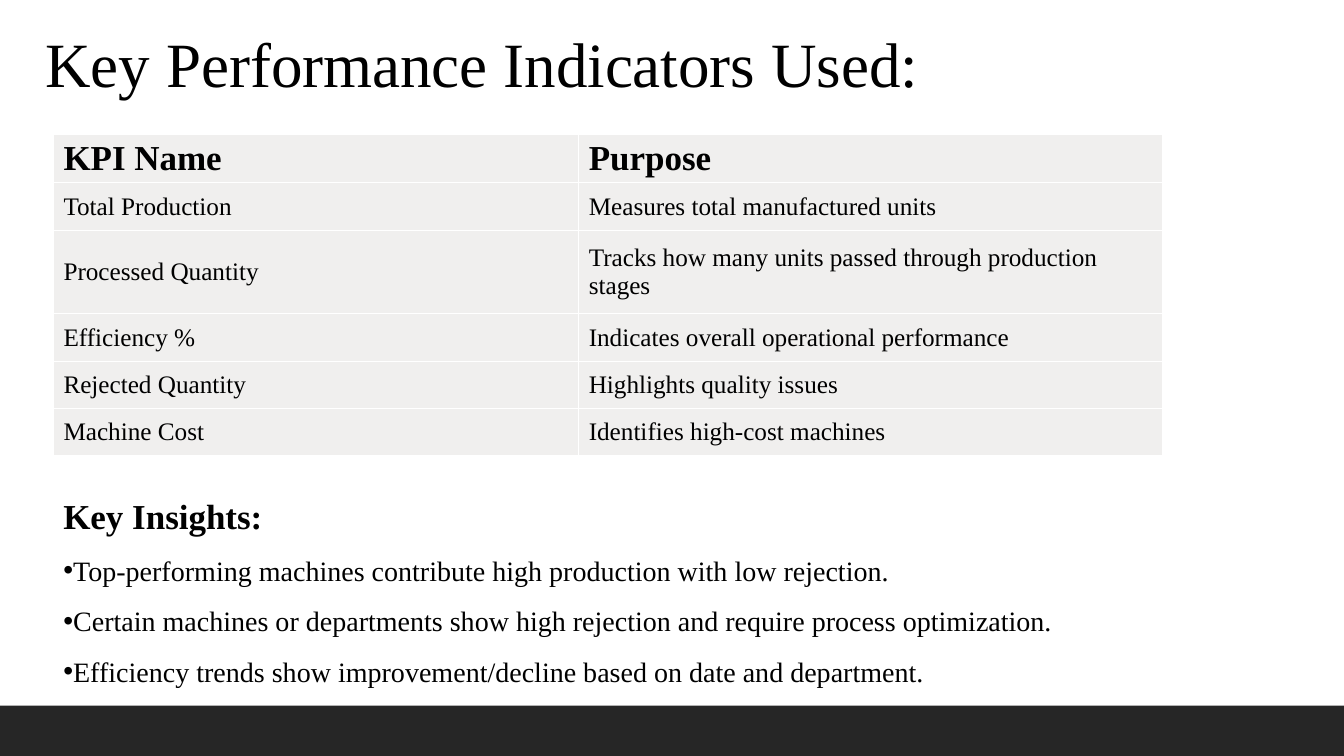
from dataclasses import dataclass

from lxml.etree import SubElement
from pptx import Presentation
from pptx.dml.color import RGBColor
from pptx.enum.shapes import MSO_SHAPE as Preset
from pptx.enum.text import MSO_ANCHOR as Anchor, MSO_AUTO_SIZE as AutoSize, PP_ALIGN as Align
from pptx.oxml.ns import qn
from pptx.util import Inches, Pt

SLIDE_WIDTH, SLIDE_HEIGHT = 13.33, 7.5
LEFT_MARGIN = 0.53
FONT = "Times New Roman"
BLACK, WHITE, CELL_GREY, BAND_GREY = "000000", "FFFFFF", "F0EFEE", "262626"
TITLE_SIZE, HEADING_SIZE, INSIGHT_SIZE, CELL_SIZE = 45, 25, 20, 18
COLUMN_WIDTHS = (5.21, 5.79)
LINE_HEIGHT, TALL_LINE_HEIGHT = 0.47, 0.83


@dataclass(frozen=True)
class Box:
    left: float
    top: float
    width: float
    height: float

    def lengths(self) -> tuple:
        return tuple(Inches(n) for n in (self.left, self.top, self.width, self.height))


@dataclass(frozen=True)
class Indicator:
    name: str
    purpose: str
    height: float = LINE_HEIGHT
    size: int = CELL_SIZE
    bold: bool = False


TITLE_BOX = Box(0.35, 0.19, SLIDE_WIDTH - 0.35, 0.86)
TABLE_BOX = Box(LEFT_MARGIN, 1.33, sum(COLUMN_WIDTHS), 3.18)
INSIGHTS_BOX = Box(LEFT_MARGIN, 4.86, 12.16, 2.34)
BAND_BOX = Box(0, SLIDE_HEIGHT - 0.5, SLIDE_WIDTH, 0.5)

INDICATORS = (
    Indicator("KPI Name", "Purpose", size=HEADING_SIZE, bold=True),
    Indicator("Total Production", "Measures total manufactured units"),
    Indicator("Processed Quantity", "Tracks how many units passed through production stages", TALL_LINE_HEIGHT),
    Indicator("Efficiency %", "Indicates overall operational performance"),
    Indicator("Rejected Quantity", "Highlights quality issues"),
    Indicator("Machine Cost", "Identifies high-cost machines"),
)
INSIGHTS = (
    "Top-performing machines contribute high production with low rejection.",
    "Certain machines or departments show high rejection and require process optimization.",
    "Efficiency trends show improvement/decline based on date and department.",
)


def color(value: str) -> RGBColor:
    return RGBColor.from_string(value)


def format_runs(paragraph, size: int, bold: bool = False) -> None:
    for run in paragraph.runs:
        run.font.name = FONT
        run.font.size = Pt(size)
        run.font.bold = bold
        run.font.color.rgb = color(BLACK)


def add_bullet(paragraph) -> None:
    properties = paragraph._p.get_or_add_pPr()
    properties.set("marL", "0")
    properties.set("indent", "0")
    SubElement(properties, qn("a:buFont"), typeface="Arial")
    SubElement(properties, qn("a:buChar"), char="•")


def set_borders(cell, value: str, points: float) -> None:
    properties = cell._tc.get_or_add_tcPr()
    for position, side in enumerate(("lnL", "lnR", "lnT", "lnB")):
        line = SubElement(properties, qn(f"a:{side}"), w=str(Pt(points)))
        fill = SubElement(line, qn("a:solidFill"))
        SubElement(fill, qn("a:srgbClr"), val=value)
        properties.insert(position, line)


def place_title(slide) -> None:
    title = slide.shapes.title
    title.left, title.top, title.width, title.height = TITLE_BOX.lengths()
    frame = title.text_frame
    frame.text = "Key Performance Indicators Used:"
    frame.auto_size = AutoSize.NONE
    frame.vertical_anchor = Anchor.MIDDLE
    frame.paragraphs[0].alignment = Align.LEFT
    format_runs(frame.paragraphs[0], TITLE_SIZE)


def add_band(slide) -> None:
    band = slide.shapes.add_shape(Preset.RECTANGLE, *BAND_BOX.lengths())
    band.shadow.inherit = False
    band.fill.solid()
    band.fill.fore_color.rgb = color(BAND_GREY)
    band.line.fill.background()


def add_indicators(slide) -> None:
    table = slide.shapes.add_table(len(INDICATORS), len(COLUMN_WIDTHS), *TABLE_BOX.lengths()).table
    table.horz_banding = False
    for column, width in zip(table.columns, COLUMN_WIDTHS):
        column.width = Inches(width)
    for row, indicator in zip(table.rows, INDICATORS):
        row.height = Inches(indicator.height)
        for cell, text in zip(row.cells, (indicator.name, indicator.purpose)):
            cell.text_frame.text = text
            cell.vertical_anchor = Anchor.MIDDLE
            cell.fill.solid()
            cell.fill.fore_color.rgb = color(CELL_GREY)
            set_borders(cell, WHITE, 1)
            format_runs(cell.text_frame.paragraphs[0], indicator.size, indicator.bold)


def add_insights(slide) -> None:
    frame = slide.shapes.add_textbox(*INSIGHTS_BOX.lengths()).text_frame
    frame.word_wrap = True
    frame.text = "Key Insights:"
    format_runs(frame.paragraphs[0], HEADING_SIZE, True)
    for insight in INSIGHTS:
        paragraph = frame.add_paragraph()
        paragraph.text = insight
        paragraph.line_spacing = 1.5
        add_bullet(paragraph)
        format_runs(paragraph, INSIGHT_SIZE)


def main() -> None:
    presentation = Presentation()
    presentation.slide_width = Inches(SLIDE_WIDTH)
    presentation.slide_height = Inches(SLIDE_HEIGHT)
    slide = presentation.slides.add_slide(presentation.slide_layouts.get_by_name("Title Only"))
    add_band(slide)
    place_title(slide)
    add_indicators(slide)
    add_insights(slide)
    presentation.save("out.pptx")


if __name__ == "__main__":
    main()
